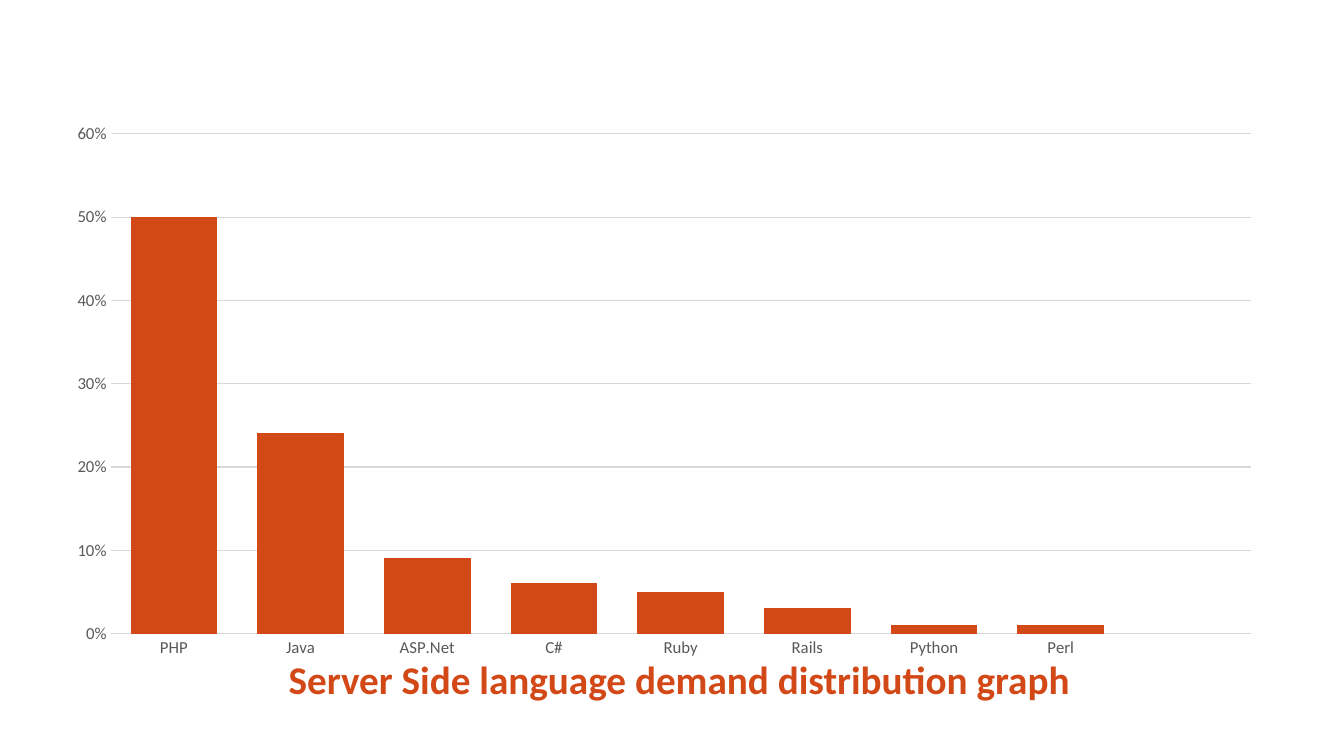
"""Build a slide with a column chart of demand for server side languages."""
from lxml import etree
from pptx import Presentation
from pptx.chart.data import CategoryChartData
from pptx.dml.color import RGBColor
from pptx.enum.chart import XL_CHART_TYPE, XL_TICK_MARK
from pptx.enum.text import MSO_AUTO_SIZE, PP_ALIGN
from pptx.oxml.ns import qn
from pptx.util import Pt

COLUMNS = XL_CHART_TYPE.COLUMN_CLUSTERED
NO_TICK = XL_TICK_MARK.NONE
CENTER = PP_ALIGN.CENTER
GROW = MSO_AUTO_SIZE.SHAPE_TO_FIT_TEXT
FONT = "Calibri"
COLORS = {"accent": "D34817", "label": "595959", "grid": "D9D9D9", "black": "000000"}
DEMAND = {
    "PHP": 0.5, "Java": 0.24, "ASP.Net": 0.09, "C#": 0.06, "Ruby": 0.05,
    "Rails": 0.03, "Python": 0.01, "Perl": 0.01, "": None,
}
PLOT_LAYOUT = {
    "layoutTarget": "inner", "xMode": "edge", "yMode": "edge",
    "x": 0.043, "y": 0.017, "w": 0.916, "h": 0.79,
}


def px(*lengths):
    """Turn pixel lengths into EMU."""
    return [round(length * 914400 / 100.8) for length in lengths]


def format_text(font, text=None, size=12, color="label", bold=False, box=None):
    """Style a chart font, or write a centred line of text into a box."""
    if box is not None:
        frame = box.text_frame
        frame.word_wrap = True
        frame.auto_size = GROW
        paragraph = frame.paragraphs[0]
        paragraph.alignment = CENTER
        run = paragraph.add_run()
        run.text = text
        font = run.font
    font.name = FONT
    font.size = Pt(size)
    font.bold = bold
    font.color.rgb = RGBColor.from_string(COLORS[color])


presentation = Presentation()
presentation.slide_width, presentation.slide_height = px(1344, 756)
slide = presentation.slides.add_slide(presentation.slide_layouts[6])

chart_data = CategoryChartData(number_format="0.00%")
chart_data.categories = list(DEMAND)
chart_data.add_series("Series 1", list(DEMAND.values()))
chart = slide.shapes.add_chart(COLUMNS, *px(57, 123, 1245, 633), chart_data).chart
chart.has_legend = False
chart.has_title = False
format_text(chart.font, size=10, color="black")

category_axis, value_axis = chart.category_axis, chart.value_axis
for axis in (category_axis, value_axis):
    axis.major_tick_mark = NO_TICK
    axis.minor_tick_mark = NO_TICK
    format_text(axis.tick_labels.font)
value_axis.format.line.fill.background()
value_axis.minimum_scale = 0
value_axis.maximum_scale = 0.6
value_axis.major_unit = 0.1
value_axis.tick_labels.number_format = "0%"
value_axis.tick_labels.number_format_is_linked = False

plot = chart.plots[0]
plot.vary_by_categories = False
plot.gap_width = 48
plot.overlap = 5
series = plot.series[0]
series.format.fill.solid()
series.format.fill.fore_color.rgb = RGBColor.from_string(COLORS["accent"])

for line, color in (
    (category_axis.format.line, "grid"),
    (value_axis.major_gridlines.format.line, "grid"),
    (series.format.line, "accent"),
):
    line.color.rgb = RGBColor.from_string(COLORS[color])
    line.width = Pt(0.75)

plot_area = chart.element.find(".//" + qn("c:plotArea"))
for layout in plot_area.findall(qn("c:layout")):
    plot_area.remove(layout)
layout = etree.Element(qn("c:layout"))
manual_layout = etree.SubElement(layout, qn("c:manualLayout"))
for name, value in PLOT_LAYOUT.items():
    etree.SubElement(manual_layout, qn("c:" + name), val=str(value))
plot_area.insert(0, layout)

caption = slide.shapes.add_textbox(*px(152, 650, 1054, 57))
format_text(None, "Server Side language demand distribution graph",
            size=28, color="accent", bold=True, box=caption)

presentation.save("out.pptx")
